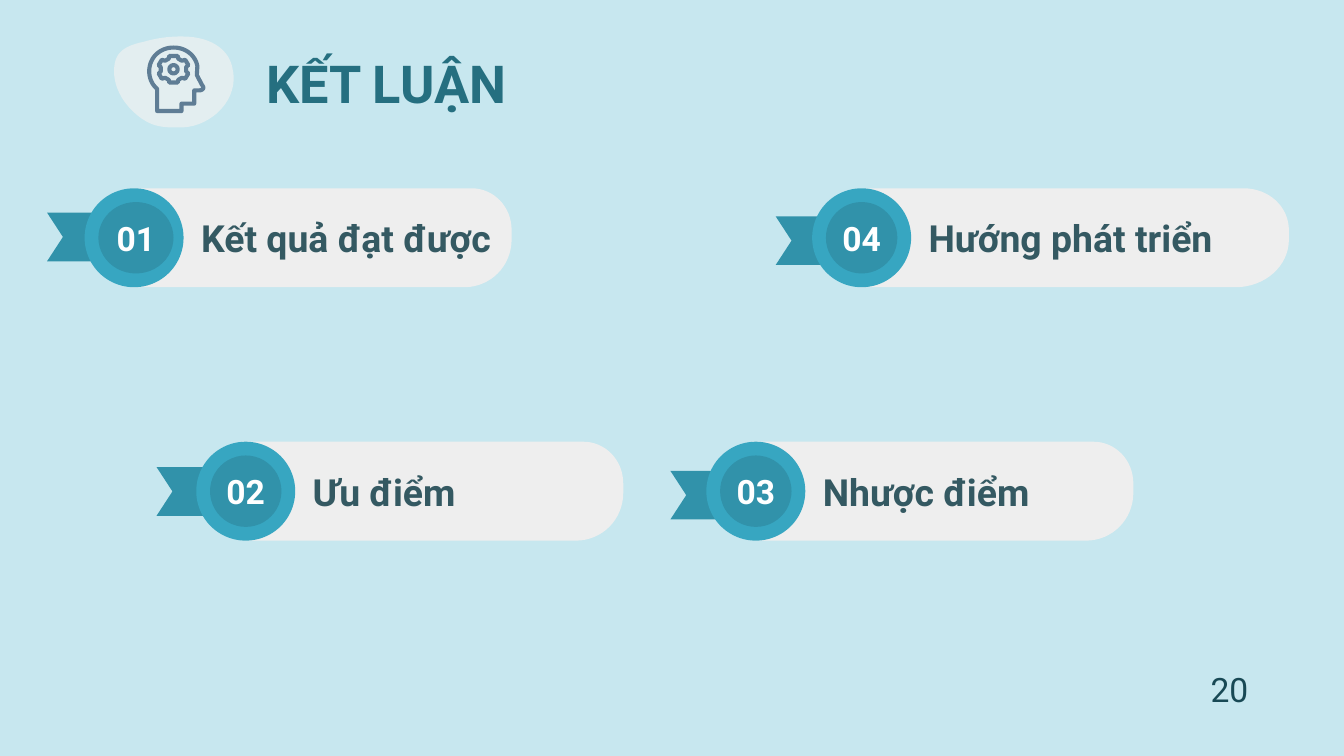
from pptx import Presentation
from pptx.dml.color import RGBColor as RGB
from pptx.enum.shapes import MSO_SHAPE as Kind
from pptx.enum.text import MSO_ANCHOR as Anchor, PP_ALIGN as Align
from pptx.util import Cm, Pt


def paint(shape, hue, edge=False):
    shape.shadow.inherit = False
    if edge:
        shape.fill.background()
        shape.line.width = Pt(2.2)
        shape.line.fill.solid()
        shape.line.fill.fore_color.rgb = RGB.from_string(hue)
    else:
        shape.fill.solid()
        shape.fill.fore_color.rgb = RGB.from_string(hue)
        shape.line.fill.background()


def trace(start, parts):
    dots = [start]
    for part in parts:
        if len(part) == 2:
            dots.append(part)
            continue
        (a, b), (c, d, e, f, g, h) = dots[-1], part
        for step in range(1, 17):
            t = step / 16
            u = 1 - t
            k = u**3, 3 * u * u * t, 3 * u * t * t, t**3
            dots.append((k[0] * a + k[1] * c + k[2] * e + k[3] * g,
                         k[0] * b + k[1] * d + k[2] * f + k[3] * h))
    pen = shapes.build_freeform(Cm(dots[0][0]), Cm(dots[0][1]))
    pen.add_line_segments([(Cm(x), Cm(y)) for x, y in dots[1:]])
    return pen.convert_to_shape()


deck = Presentation()
deck.slide_width, deck.slide_height = Cm(25.4), Cm(14.29)
slide = deck.slides.add_slide(deck.slide_layouts[6])
shapes = slide.shapes
slide.background.fill.solid()
slide.background.fill.fore_color.rgb = RGB.from_string("C7E7EF")

blob = trace((3.43, 0.69), [
    (3.23, 0.69, 3, 0.71, 2.72, 0.79), (2.39, 0.86, 2.18, 0.97, 2.16, 1.27),
    (2.13, 1.55, 2.26, 1.88, 2.54, 2.13), (2.79, 2.36, 3, 2.41, 3.28, 2.41),
    (3.45, 2.41), (3.99, 2.39, 4.55, 1.88, 4.39, 1.27),
    (4.34, 1.02, 4.09, 0.69, 3.43, 0.69)])
paint(blob, "E3EEF0")

head = trace((3.28, 0.9), [
    (3.53, 0.9, 3.7, 1.07, 3.73, 1.25), (3.72, 1.42), (3.82, 1.61),
    (3.88, 1.68, 3.81, 1.71, 3.76, 1.71), (3.67, 1.71), (3.67, 1.96),
    (3.43, 1.96), (3.43, 2.1), (2.97, 2.1), (2.97, 1.68),
    (2.87, 1.6, 2.82, 1.47, 2.82, 1.35), (2.82, 1.09, 3.02, 0.9, 3.28, 0.9)])
teeth = [(0.08, -0.25), (0.09, -0.2), (0.16, -0.16),
         (0.22, -0.18), (0.28, -0.08), (0.24, -0.04)]
rim = []
for sx, sy, turn in [(1, 1, 1), (1, -1, -1), (-1, -1, 1), (-1, 1, -1)]:
    rim += [(3.28 + sx * x, 1.31 + sy * y) for x, y in teeth[::turn]]
gear = trace(rim[0], rim[1:])
hub = shapes.add_shape(Kind.OVAL, Cm(3.2), Cm(1.23), Cm(0.16), Cm(0.16))
for icon in (head, gear, hub):
    paint(icon, "5F7D95", edge=True)

title = shapes.add_textbox(Cm(4.78), Cm(0.84), Cm(7.85), Cm(1.45))
page = shapes.add_textbox(Cm(22.63), Cm(12.52), Cm(1.22), Cm(1.02))
texts = [(title, "KẾT LUẬN", 28, "256F80", True),
         (page, "20", 18, "184955", False)]

items = [("01", "Kết quả đạt được", 1.6, 3.56, 7.21, 0.89, 4.02),
         ("02", "Ưu điểm", 3.71, 8.35, 7.21, 2.96, 8.83),
         ("03", "Nhược điểm", 13.35, 8.35, 7.21, 12.67, 8.9),
         ("04", "Hướng phát triển", 15.35, 3.56, 8.15, 14.66, 4.09)]
size = 1.87
for num, label, x, y, wide, fx, fy in items:
    left, right, base = x + 0.86, x + 0.86 + wide, y + size
    zoom = wide / 7.21
    low, high = 0.89 * zoom, 0.76 * zoom
    pill = trace((left, y), [
        (left, base), (right - low, base),
        (right - 0.45 * low, base, right, base - 0.4, right, y + 0.97),
        (right, y + 0.79),
        (right, y + 0.35, right - 0.44 * high, y, right - high, y)])
    paint(pill, "EEEEEE")
    flag = trace((fx + 0.89, fy), [
        (fx, fy), (fx + 0.3, fy + 0.46), (fx, fy + 0.92), (fx + 0.89, fy + 0.92)])
    paint(flag, "3192AA")
    ring = shapes.add_shape(Kind.OVAL, Cm(x), Cm(y), Cm(size), Cm(size))
    paint(ring, "37A6C1")
    core = 1.42 if num == "01" else 1.35
    disc = shapes.add_shape(Kind.OVAL, Cm(x + 0.26), Cm(y + 0.26), Cm(core), Cm(1.35))
    paint(disc, "3192AA")
    box = shapes.add_textbox(Cm(x + 1.95), Cm(y + 0.43), Cm(wide - 1.07), Cm(1.02))
    texts += [(disc, num, 18, "FFFFFF", True), (box, label, 20, "345962", True)]

for shape, words, points, hue, bold in texts:
    frame = shape.text_frame
    frame.word_wrap = shape is not page and hue != "FFFFFF"
    para = frame.paragraphs[0]
    para.alignment = Align.LEFT
    if shape not in (title, page):
        frame.vertical_anchor = Anchor.MIDDLE
        frame.margin_left = frame.margin_right = Cm(0.25)
        frame.margin_top = frame.margin_bottom = Cm(0.25)
    if hue == "FFFFFF":
        para.alignment = Align.CENTER
        frame.margin_left = frame.margin_right = Cm(0)
        frame.margin_top = frame.margin_bottom = Cm(0)
    run = para.add_run()
    run.text = words
    run.font.name = "Roboto"
    run.font.size = Pt(points)
    run.font.bold = bold
    run.font.color.rgb = RGB.from_string(hue)

deck.save("out.pptx")
